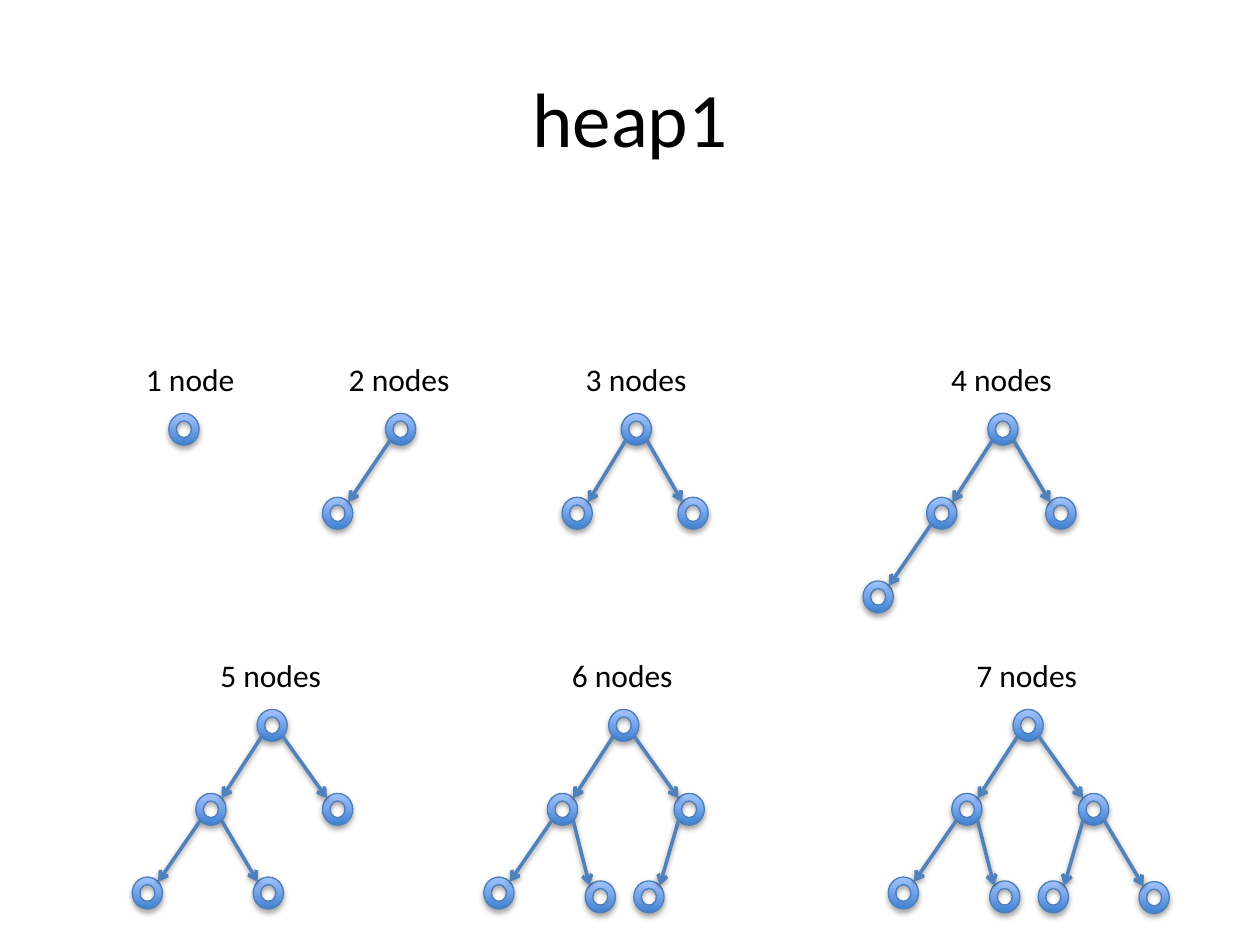
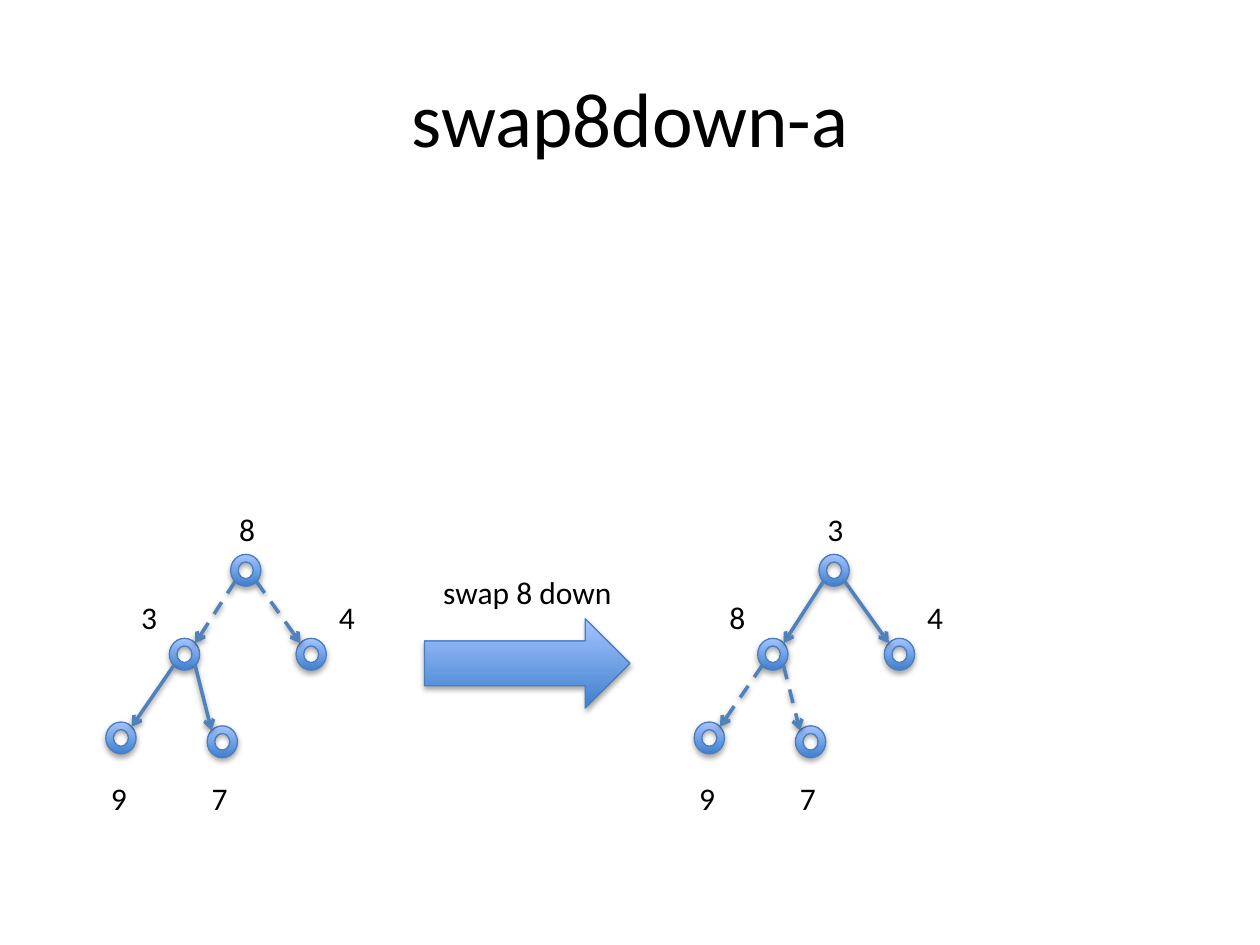
from dataclasses import dataclass
from lxml import etree
from pptx import Presentation
from pptx.dml.color import RGBColor
from pptx.enum.dml import MSO_LINE
from pptx.enum.shapes import MSO_CONNECTOR, MSO_SHAPE
from pptx.enum.text import MSO_ANCHOR, MSO_AUTO_SIZE, PP_ALIGN
from pptx.oxml.ns import qn
from pptx.util import Pt

STRAIGHT = MSO_CONNECTOR.STRAIGHT
DONUT = MSO_SHAPE.DONUT
RIGHT_ARROW = MSO_SHAPE.RIGHT_ARROW
DASH = MSO_LINE.DASH
MIDDLE = MSO_ANCHOR.MIDDLE
FIT_TEXT = MSO_AUTO_SIZE.SHAPE_TO_FIT_TEXT
LEFT = PP_ALIGN.LEFT
CENTER = PP_ALIGN.CENTER


@dataclass(frozen=True)
class Theme:
    font: str = "Calibri"
    text: RGBColor = RGBColor(0x00, 0x00, 0x00)
    edge: RGBColor = RGBColor(0x4F, 0x81, 0xBD)
    outline: RGBColor = RGBColor(0x4B, 0x7E, 0xBC)
    gradient: tuple = (RGBColor(0x3F, 0x80, 0xCE), RGBColor(0xA4, 0xC4, 0xFF))
    title_size: int = 44
    label_size: int = 18


theme = Theme()


def write(frame, text, size=theme.label_size, align=LEFT):
    paragraph = frame.paragraphs[0]
    paragraph.alignment = align
    run = paragraph.add_run()
    run.text = text
    run.font.name = theme.font
    run.font.size = Pt(size)
    run.font.color.rgb = theme.text


def add_shadow(element, opacity, distance):
    effects = etree.SubElement(element.spPr, qn("a:effectLst"))
    outer = etree.SubElement(effects, qn("a:outerShdw"), blurRad=str(Pt(3.15)),
                             dist=str(Pt(distance)), dir="5400000", rotWithShape="0")
    black = etree.SubElement(outer, qn("a:srgbClr"), val="000000")
    etree.SubElement(black, qn("a:alpha"), val=str(opacity * 1000))


NODE_W, NODE_H = 17.3, 18.2
RIM_X, RIM_Y = 6.1, 6.4
LABEL_H = 29.1

HEAP_OFFSETS = [(0, 0), (-35, 48), (37.4, 48), (-71.3, 95.8),
                (-13.4, 98), (14.4, 98), (72, 98.4)]

HEAPS = [
    (1, 96.5, 236.2, 76.3, {}),
    (2, 220.3, 236.2, 192.2, {1: (-36, 48)}),
    (3, 355, 236.2, 327.6, {1: (-33.8, 48), 2: (32.4, 48)}),
    (4, 564.5, 236.2, 536.4, {2: (33.1, 48)}),
    (5, 146.9, 405.4, 118.8, {4: (-2.2, 95.8)}),
    (6, 347.8, 405.4, 319.7, {}),
    (7, 578.9, 405.4, 550.8, {}),
]

VALUE_OFFSETS = [(-2.3, -28.8), (-58.3, 21.6), (54.7, 21.6), (-75.6, 124.6), (-18, 124.6)]
VALUE_W = 23.6
SWAP_STEPS = [
    (131.8, 316.8, "83497", {1, 2}),
    (468, 316.8, "38497", {3, 4}),
]

deck = Presentation()
deck.slide_width, deck.slide_height = Pt(720), Pt(540)

slides = []
for heading in ("heap1", "swap8down-a"):
    slide = deck.slides.add_slide(deck.slide_layouts[5])
    title = slide.shapes.title
    title.left, title.top, title.width, title.height = Pt(36), Pt(21.6), Pt(648), Pt(90)
    title.text_frame.vertical_anchor = MIDDLE
    write(title.text_frame, heading, size=theme.title_size, align=CENTER)
    slides.append(slide)
heap_slide, swap_slide = slides

trees = []
heap_group = heap_slide.shapes.add_group_shape()
for count, root_x, root_y, label_x, moved in HEAPS:
    offsets = [moved.get(i, HEAP_OFFSETS[i]) for i in range(count)]
    caption = "1 node" if count == 1 else f"{count} nodes"
    labels = [(caption, label_x, root_y - 33.8, 65.5 if count == 1 else 73.4)]
    trees.append((heap_group, root_x, root_y, offsets, set(), labels))

swap_arrow = swap_slide.shapes.add_shape(RIGHT_ARROW, Pt(242.6), Pt(353.5), Pt(117.4), Pt(51.1))
glossy = [swap_arrow]

for root_x, root_y, values, dashed in SWAP_STEPS:
    labels = [(value, root_x + dx, root_y + dy, VALUE_W)
              for value, (dx, dy) in zip(values, VALUE_OFFSETS)]
    trees.append((swap_slide.shapes.add_group_shape(), root_x, root_y,
                  HEAP_OFFSETS[:len(values)], dashed, labels))
trees.append((swap_slide, 0, 0, [], set(), [("swap 8 down", 246.2, 324, 111.6)]))

for canvas, root_x, root_y, offsets, dashed, labels in trees:
    nodes = [(root_x + dx, root_y + dy) for dx, dy in offsets]
    for x, y in nodes:
        glossy.append(canvas.shapes.add_shape(DONUT, Pt(x), Pt(y), Pt(NODE_W), Pt(NODE_H)))

    for child in range(1, len(nodes)):
        parent_x, parent_y = nodes[(child - 1) // 2]
        child_x, child_y = nodes[child]
        side = -1 if child % 2 else 1
        edge = canvas.shapes.add_connector(
            STRAIGHT,
            Pt(parent_x + NODE_W / 2 + side * RIM_X), Pt(parent_y + NODE_H / 2 + RIM_Y),
            Pt(child_x + NODE_W / 2 - side * RIM_X), Pt(child_y + NODE_H / 2 - RIM_Y))
        edge.line.color.rgb = theme.edge
        edge.line.width = Pt(2)
        if child in dashed:
            edge.line.dash_style = DASH
        etree.SubElement(edge.get_or_add_ln(), qn("a:tailEnd"), type="arrow")
        add_shadow(edge.element, 38, 1.57)

    for text, x, y, width in labels:
        label = canvas.shapes.add_textbox(Pt(x), Pt(y), Pt(width), Pt(LABEL_H))
        label.text_frame.word_wrap = False
        label.text_frame.auto_size = FIT_TEXT
        write(label.text_frame, text)

for body in glossy:
    body.fill.gradient()
    body.fill.gradient_angle = 90
    for stop, color in zip(body.fill.gradient_stops, theme.gradient):
        stop.color.rgb = color
    body.line.color.rgb = theme.outline
    body.line.width = Pt(0.75)
    add_shadow(body.element, 35, 1.81)

deck.save("out.pptx")
